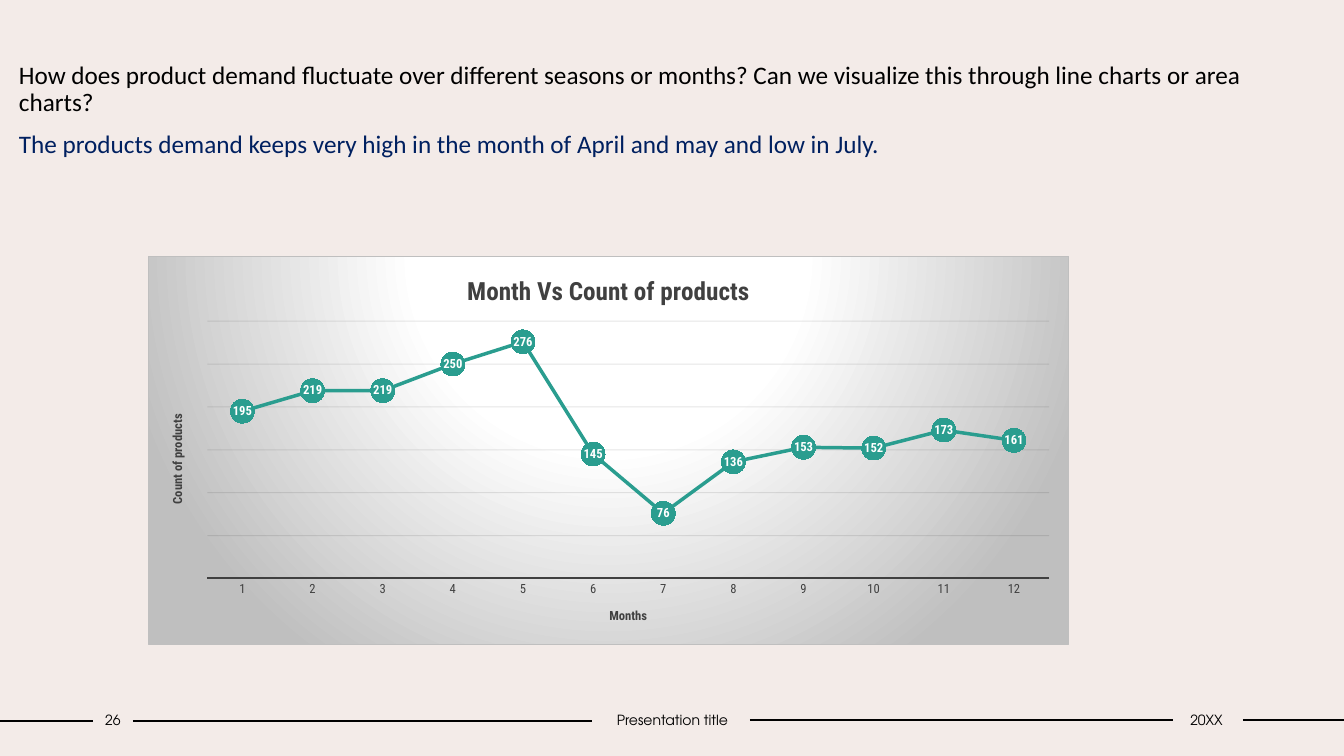
import pptx
import pptx.util
import pptx.chart.data
import pptx.dml.color
import pptx.enum.chart
import pptx.enum.shapes
import pptx.enum.text
import pptx.oxml
import pptx.oxml.ns
import lxml.etree

Pt = pptx.util.Pt
RGB = pptx.dml.color.RGBColor
qn = pptx.oxml.ns.qn

# Content
QUERY = ("How does product demand fluctuate over different seasons or months? "
         "Can we visualize this through line charts or area charts?")
REPLY = "The products demand keeps very high in the month of April and may and low in July."
COUNTS = [195, 219, 219, 250, 276, 145, 76, 136, 153, 152, 173, 161]
HEAD, X_NAME, Y_NAME = "Month Vs Count of products", "Months", "Count of products"
FOOT = [("26", 93, 40), ("Presentation title", 592, 161), ("20XX", 1171, 71)]
RULES = [(0, 93, 721), (133, 592, 721), (750, 1173, 720), (1243, 1344, 720)]

# Places in px: left, top, width, height
SIZE = (1344, 756)
NOTE = (9, 58, 1257, 130)
CHART = (148, 256, 921, 389)
PLOT = (207, 321, 843, 258)
FOOT_TOP, FOOT_HIGH = 706, 27

BACK = RGB(0xF3, 0xEB, 0xE8)
BLACK = RGB(0, 0, 0)
WHITE = RGB(0xFF, 0xFF, 0xFF)
NAVY = RGB(0x00, 0x20, 0x60)
TEAL = RGB(0x2A, 0x9D, 0x8F)
DARK = RGB(0x40, 0x40, 0x40)
GRID = RGB(0x0D, 0x0D, 0x0D)
BODY, FACE, DATA = "Calibri", "TeX Gyre Adventor", "Roboto Condensed"
NS = ('xmlns:a="http://schemas.openxmlformats.org/drawingml/2006/main" '
      'xmlns:c="http://schemas.openxmlformats.org/drawingml/2006/chart"')


def px(num):
    return round(num * 914400 / 100.8)


def style(font, name, size, tint, bold=False):
    font.name, font.size, font.bold = name, Pt(size), bold
    font.color.rgb = tint


def label(owner, text, size):
    owner.has_title = True
    title = owner.axis_title if hasattr(owner, "axis_title") else owner.chart_title
    title.text_frame.text = text
    style(title.text_frame.paragraphs[0].runs[0].font, DATA, size, DARK, True)
    return title


prs = pptx.Presentation()
prs.slide_width, prs.slide_height = map(px, SIZE)
slide = prs.slides.add_slide(prs.slide_layouts[6])
slide.background.fill.solid()
slide.background.fill.fore_color.rgb = BACK

# Footer rules
for left, right, y in RULES:
    rule = slide.shapes.add_connector(
        pptx.enum.shapes.MSO_CONNECTOR.STRAIGHT, px(left), px(y), px(right), px(y))
    rule.line.color.rgb, rule.line.width = BLACK, Pt(1)
    lxml.etree.SubElement(rule._element.spPr, qn("a:effectLst"))

# Question and answer
frame = slide.shapes.add_textbox(*map(px, NOTE)).text_frame
frame.word_wrap = True
frame.text = QUERY
frame.add_paragraph().text = REPLY
frame.paragraphs[1].space_before = Pt(10)
for para, tint in zip(frame.paragraphs, (BLACK, NAVY)):
    para.line_spacing = 0.9
    style(para.runs[0].font, BODY, 18, tint)

# Footer texts
for text, left, wide in FOOT:
    frame = slide.shapes.add_textbox(*map(px, (left, FOOT_TOP, wide, FOOT_HIGH))).text_frame
    frame.word_wrap = True
    frame.margin_left = frame.margin_right = 0
    frame.vertical_anchor = pptx.enum.text.MSO_ANCHOR.MIDDLE
    frame.text = text
    frame.paragraphs[0].alignment = pptx.enum.text.PP_ALIGN.CENTER
    style(frame.paragraphs[0].runs[0].font, FACE, 10, BLACK)

# Line chart
data = pptx.chart.data.CategoryChartData()
data.categories = [str(month + 1) for month in range(len(COUNTS))]
data.add_series("Series 1", COUNTS)
chart = slide.shapes.add_chart(
    pptx.enum.chart.XL_CHART_TYPE.LINE_MARKERS, *map(px, CHART), data).chart
style(chart.font, DATA, 10, BLACK)
chart.has_legend = False
label(chart, HEAD, 18)
chart.chart_title.include_in_layout = False

# Axes
months, counts = chart.category_axis, chart.value_axis
label(months, X_NAME, 9)
turn = label(counts, Y_NAME, 9).text_frame._txBody.bodyPr
turn.set("rot", "-5400000")
turn.set("vert", "horz")
style(months.tick_labels.font, DATA, 9, DARK)
months.major_tick_mark = pptx.enum.chart.XL_TICK_MARK.NONE
months.format.line.color.rgb, months.format.line.width = DARK, Pt(1.5)
counts.visible = False
counts.minimum_scale, counts.maximum_scale, counts.major_unit = 0, 300, 50
grid = counts.major_gridlines.format.line
grid.color.rgb, grid.width = GRID, Pt(0.75)
shade = counts.major_gridlines._xAx.find(".//" + qn("c:majorGridlines")).find(
    ".//" + qn("a:srgbClr"))
lxml.etree.SubElement(shade, qn("a:alpha")).set("val", "10000")

# Series, markers and labels
plot = chart.plots[0]
plot.vary_by_categories = False
line = plot.series[0]
line.smooth = False
line.format.line.color.rgb, line.format.line.width = TEAL, Pt(2.5)
line.marker.style, line.marker.size = pptx.enum.chart.XL_MARKER_STYLE.CIRCLE, 17
line.marker.format.fill.solid()
line.marker.format.fill.fore_color.rgb = TEAL
line.marker.format.line.fill.background()
tags = line.data_labels
tags.show_value = True
tags.position = pptx.enum.chart.XL_LABEL_POSITION.CENTER
style(tags.font, DATA, 9, WHITE, True)

# Plot place, as shares of the chart
area = chart._chartSpace.chart.plotArea
for old in area.findall(qn("c:layout")):
    area.remove(old)
shares = zip("xywh", ((PLOT[0] - CHART[0]) / CHART[2], (PLOT[1] - CHART[1]) / CHART[3],
                      PLOT[2] / CHART[2], PLOT[3] / CHART[3]))
spots = "".join(f'<c:{key} val="{val:.3f}"/>' for key, val in shares)
area.insert(0, pptx.oxml.parse_xml(
    f'<c:layout {NS}><c:manualLayout><c:layoutTarget val="inner"/>'
    f'<c:xMode val="edge"/><c:yMode val="edge"/>{spots}</c:manualLayout></c:layout>'))

# Radial chart background
stops = "".join(f'<a:gs pos="{pos}000"><a:srgbClr val="{tint}"/></a:gs>'
                for pos, tint in ((0, "FFFFFF"), (39, "FFFFFF"), (100, "BFBFBF")))
chart._chartSpace.chart.addnext(pptx.oxml.parse_xml(
    f'<c:spPr {NS}><a:gradFill><a:gsLst>{stops}</a:gsLst><a:path path="circle">'
    '<a:fillToRect l="50000" t="-80000" r="50000" b="180000"/></a:path></a:gradFill>'
    '<a:ln w="9525"><a:solidFill><a:srgbClr val="BFBFBF"/></a:solidFill></a:ln></c:spPr>'))

prs.save("out.pptx")
